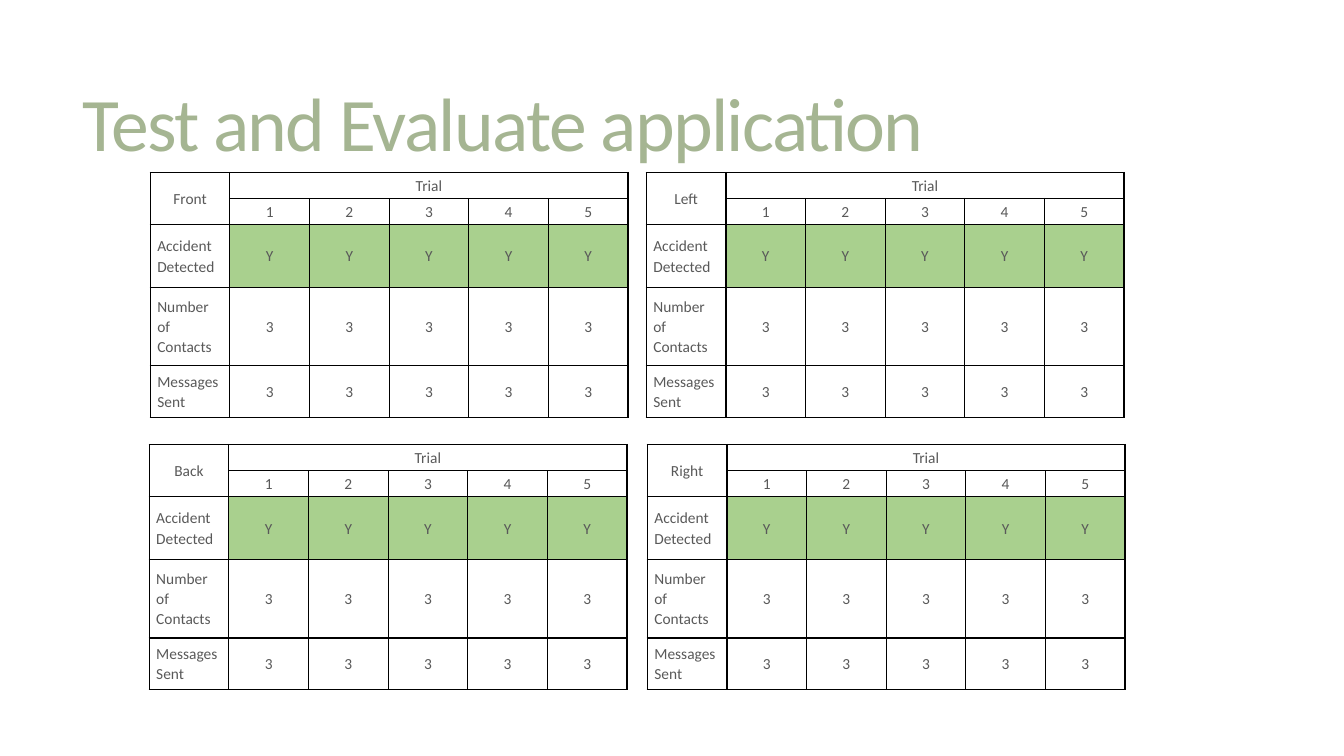
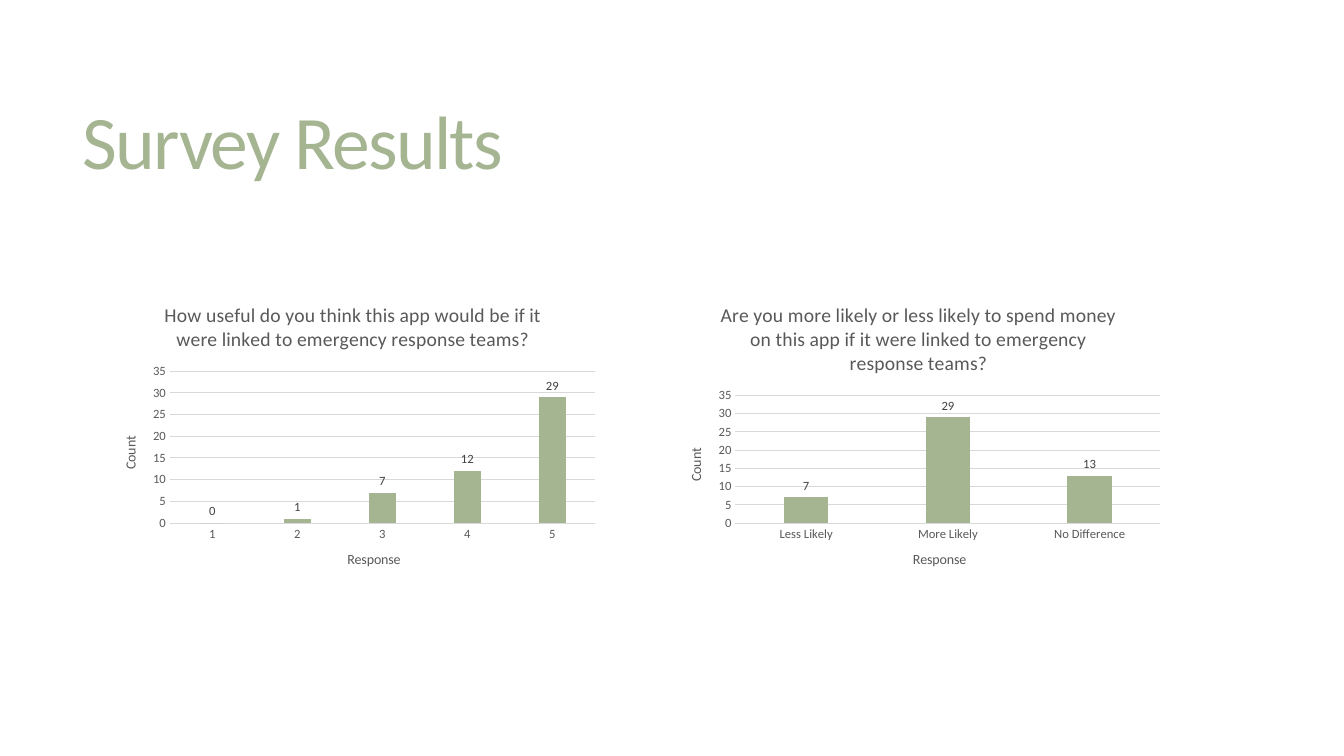
from dataclasses import dataclass

from lxml.etree import SubElement
from pptx import Presentation
from pptx.chart.data import CategoryChartData
from pptx.dml.color import RGBColor
from pptx.enum.chart import XL_CHART_TYPE, XL_LABEL_POSITION, XL_TICK_MARK
from pptx.enum.text import MSO_ANCHOR, MSO_AUTO_SIZE, PP_ALIGN
from pptx.oxml.ns import qn
from pptx.util import Inches, Pt

FONT = "Calibri"
SAGE = "A5B592"
GREEN = "A9D08E"
GRAY = "595959"
DARK = "404040"
RULE = "D9D9D9"
BLACK = "000000"

TRIALS = 5
COL_WIDTH = 0.79
ROW_HEIGHTS = (0.26, 0.26, 0.62, 0.78, 0.51)
RESULTS = (("Accident Detected", "Y"), ("Number of Contacts", "3"), ("Messages Sent", "3"))


@dataclass
class TrialTable:
    side: str
    left: float
    top: float


@dataclass
class SurveyChart:
    question: str
    left: float
    answers: dict[str, int]


TABLES = (
    TrialTable("Front", 1.49, 1.71),
    TrialTable("Back", 1.48, 4.41),
    TrialTable("Right", 6.42, 4.41),
    TrialTable("Left", 6.41, 1.71),
)
CHARTS = (
    SurveyChart(
        "How useful do you think this app would be if it were linked to emergency response teams?",
        1, {"1": 0, "2": 1, "3": 7, "4": 12, "5": 29},
    ),
    SurveyChart(
        "Are you more likely or less likely to spend money on this app "
        "if it were linked to emergency response teams?",
        6.61, {"Less Likely": 7, "More Likely": 29, "No Difference": 13},
    ),
)


def rgb(color: str) -> RGBColor:
    return RGBColor.from_string(color)


def style_font(font, size: float, color: str) -> None:
    font.name = FONT
    font.size = Pt(size)
    font.bold = False
    font.color.rgb = rgb(color)


def write(tf, text: str, *, size: float, color: str = GRAY, align=None,
          line_spacing: float | None = None, spacing: float = 0) -> None:
    p = tf.paragraphs[0]
    p.alignment = align
    p.line_spacing = line_spacing
    r = p.add_run()
    r.text = text
    style_font(r.font, size, color)
    if spacing:
        r._r.get_or_add_rPr().set("spc", str(round(spacing * 100)))


def add_titled_slide(prs, title: str, top: float):
    s = prs.slides.add_slide(prs.slide_layouts[5])
    sp = s.shapes.title
    sp.left, sp.top = Inches(0.72), Inches(top)
    sp.width, sp.height = Inches(11.78), Inches(1.81)
    tf = sp.text_frame
    tf.word_wrap = True
    tf.auto_size = MSO_AUTO_SIZE.NONE
    tf.vertical_anchor = MSO_ANCHOR.MIDDLE
    write(tf, title, size=54, color=SAGE, align=PP_ALIGN.LEFT, line_spacing=0.85, spacing=-1.2)
    return s


def add_borders(cell) -> None:
    props = cell._tc.get_or_add_tcPr()
    for side in ("lnL", "lnR", "lnT", "lnB"):
        line = SubElement(props, qn(f"a:{side}"), w=str(Pt(1)))
        fill = SubElement(line, qn("a:solidFill"))
        SubElement(fill, qn("a:srgbClr"), val=BLACK)


def format_cell(cell, text: str, is_label: bool) -> None:
    cell.margin_left = cell.margin_right = Inches(0.07)
    cell.margin_top = cell.margin_bottom = 0
    cell.vertical_anchor = MSO_ANCHOR.MIDDLE
    add_borders(cell)
    if text == "Y":
        cell.fill.solid()
        cell.fill.fore_color.rgb = rgb(GREEN)
    else:
        cell.fill.background()
    align = PP_ALIGN.LEFT if is_label else PP_ALIGN.CENTER
    write(cell.text_frame, text, size=11, align=align, line_spacing=1.07)


def add_trial_table(s, spec_table: TrialTable) -> None:
    rows = [
        [spec_table.side, "Trial"] + [""] * (TRIALS - 1),
        [""] + [str(n + 1) for n in range(TRIALS)],
        *([label] + [value] * TRIALS for label, value in RESULTS),
    ]
    table = s.shapes.add_table(
        len(rows), TRIALS + 1, Inches(spec_table.left), Inches(spec_table.top),
        Inches(COL_WIDTH * (TRIALS + 1)), Inches(sum(ROW_HEIGHTS)),
    ).table
    table.first_row = table.horz_banding = False
    for column in table.columns:
        column.width = Inches(COL_WIDTH)
    for i, (height, texts) in enumerate(zip(ROW_HEIGHTS, rows)):
        table.rows[i].height = Inches(height)
        for j, text in enumerate(texts):
            format_cell(table.cell(i, j), text, is_label=i > 1 and j == 0)
    table.cell(0, 0).merge(table.cell(1, 0))
    table.cell(0, 1).merge(table.cell(0, TRIALS))


def format_axis(axis, title: str) -> None:
    axis.major_tick_mark = axis.minor_tick_mark = XL_TICK_MARK.NONE
    style_font(axis.tick_labels.font, 9, GRAY)
    write(axis.axis_title.text_frame, title, size=10)


def add_survey_chart(s, survey: SurveyChart) -> None:
    data = CategoryChartData()
    data.categories = list(survey.answers)
    data.add_series("Series 1", list(survey.answers.values()))
    chart = s.shapes.add_chart(
        XL_CHART_TYPE.COLUMN_CLUSTERED, Inches(survey.left), Inches(2.84),
        Inches(5), Inches(3), data,
    ).chart
    style_font(chart.font, 10, BLACK)
    chart.has_legend = False
    write(chart.chart_title.text_frame, survey.question, size=14)

    category, value = chart.category_axis, chart.value_axis
    format_axis(category, "Response")
    category.format.line.color.rgb = rgb(RULE)
    category.format.line.width = Pt(0.75)
    format_axis(value, "Count")
    value.axis_title.text_frame._txBody.bodyPr.set("rot", "-5400000")
    value.format.line.fill.background()
    grid = value.major_gridlines.format.line
    grid.color.rgb = rgb(RULE)
    grid.width = Pt(0.75)

    plot = chart.plots[0]
    plot.vary_by_categories = False
    plot.gap_width, plot.overlap = 219, -27
    series = plot.series[0]
    series.format.fill.solid()
    series.format.fill.fore_color.rgb = rgb(SAGE)
    labels = series.data_labels
    labels.show_value = True
    labels.position = XL_LABEL_POSITION.OUTSIDE_END
    style_font(labels.font, 9, DARK)


def main() -> None:
    prs = Presentation()
    prs.slide_width, prs.slide_height = Inches(13.33), Inches(7.5)
    s = add_titled_slide(prs, "Test and Evaluate application", 0.37)
    for trial_table in TABLES:
        add_trial_table(s, trial_table)
    s = add_titled_slide(prs, "Survey Results", 0.55)
    for survey in CHARTS:
        add_survey_chart(s, survey)
    prs.save("out.pptx")


if __name__ == "__main__":
    main()
